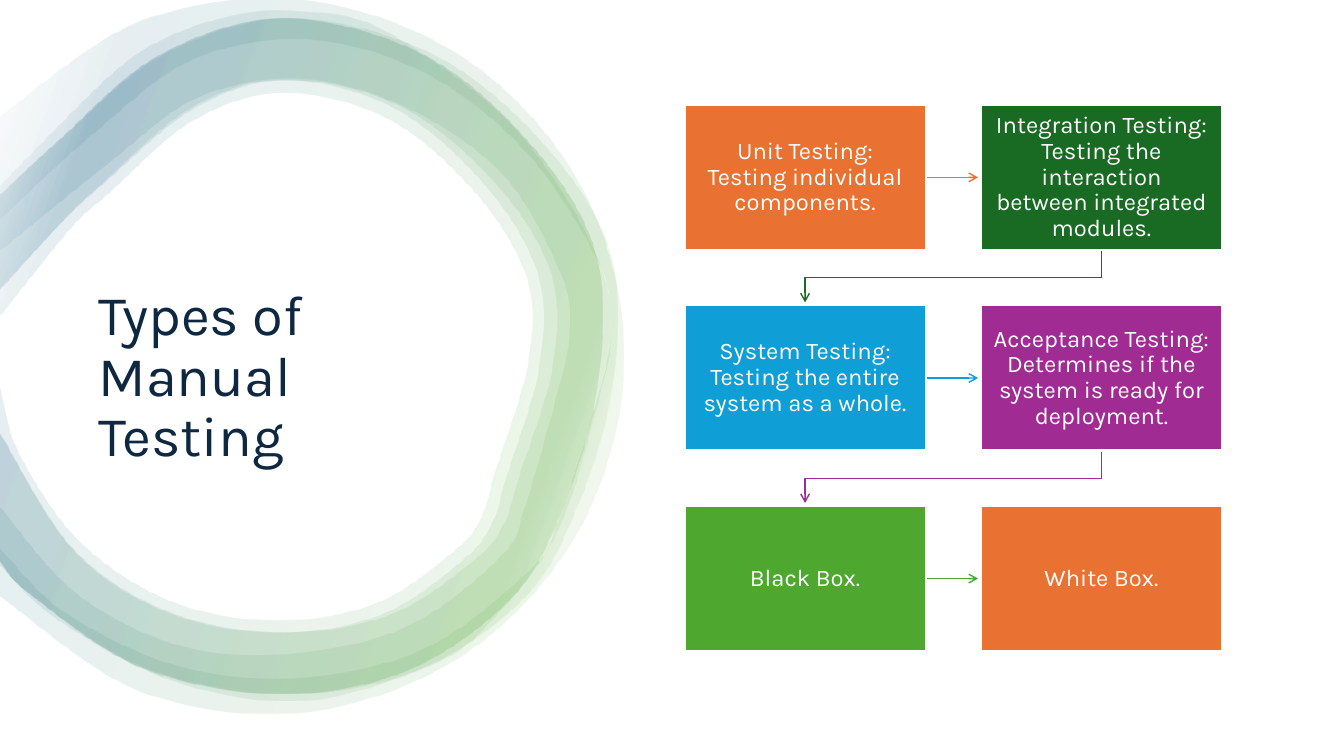
from math import acos, cos, sin

from lxml.etree import SubElement
from pptx import Presentation
from pptx.dml.color import RGBColor
from pptx.enum.shapes import MSO_CONNECTOR, MSO_SHAPE
from pptx.enum.text import MSO_ANCHOR, PP_ALIGN
from pptx.oxml import parse_xml
from pptx.oxml.ns import nsdecls, qn
from pptx.util import Inches, Pt

FONT = "Karla"
WHITE = RGBColor(0xFF, 0xFF, 0xFF)
NAVY = RGBColor(0x0E, 0x28, 0x41)
ORANGE = RGBColor(0xE9, 0x71, 0x32)
FOREST = RGBColor(0x19, 0x6B, 0x24)
BLUE = RGBColor(0x0F, 0x9E, 0xD5)
PURPLE = RGBColor(0xA0, 0x2B, 0x93)
GREEN = RGBColor(0x4E, 0xA7, 0x2E)
TEAL = RGBColor(0x15, 0x60, 0x82)

RING_STOPS = [(2, WHITE), (16, GREEN), (85, TEAL), (100, WHITE)]
RING_ANGLE = 200
RING_OPACITY = 10

BOX_LEFT, BOX_TOP = 6.79, 1.04
BOX_WIDTH, BOX_HEIGHT = 2.39, 1.44
COLUMN_STEP, ROW_STEP = 2.94, 1.99
COLUMNS = 2
ARROW_GAP = 0.03

TESTS = [
    ("Unit Testing: Testing individual components.", ORANGE),
    ("Integration Testing: Testing the interaction between integrated modules.", FOREST),
    ("System Testing: Testing the entire system as a whole.", BLUE),
    ("Acceptance Testing: Determines if the system is ready for deployment.", PURPLE),
    ("Black Box.", GREEN),
    ("White Box.", ORANGE),
]

# Ring edges: outer ones run clockwise from the left side, inner ones back.
SOFT_OUTER = [
    (0, 1.84), (1.09, 0.75), (1.66, 0.37), (2.34, 0.15), (2.96, 0.12), (3.73, 0.27),
    (4.84, 1.03), (5.47, 1.76), (5.94, 2.62), (6.05, 3.29), (5.93, 3.96), (5.52, 5.27),
    (4.88, 6.14), (4.28, 6.59), (3, 6.95), (1.7, 6.75), (0.56, 6.14), (0, 5.61),
]
SOFT_INNER = [
    (0, 5.03), (0.76, 5.89), (1.81, 6.41), (2.97, 6.47), (4.07, 6.19), (4.97, 5.5),
    (5.2, 5.01), (5.54, 3.81), (5.64, 3.29), (5.56, 2.74), (4.99, 1.75), (4.04, 1.08),
    (2.99, 0.79), (1.96, 0.97), (1.05, 1.64), (0, 2.49),
]
WIDE_OUTER = [
    (0, 1.93), (0.59, 1.39), (1.6, 0.55), (2.86, 0.18), (4.28, 0.53), (5.38, 1.42),
    (6.05, 2.52), (6.06, 3.86), (5.67, 5.14), (5.15, 5.97), (4.1, 6.66), (2.79, 6.88),
    (1.41, 6.61), (0.29, 5.88), (0, 5.56),
]
WIDE_INNER = [
    (0, 4.29), (0.73, 5.44), (1.67, 6.06), (2.79, 6.27), (3.87, 6.09), (4.71, 5.54),
    (5, 5.17), (5.14, 4.72), (5.47, 3.65), (5.46, 2.72), (4.91, 1.82), (3.98, 1.06),
    (2.86, 0.79), (1.93, 1.07), (1.03, 1.82), (0.64, 2.18), (0, 2.87),
]
THICK_INNER = [
    (0, 3.83), (0.18, 4.48), (0.78, 5.36), (1.67, 5.95), (2.71, 6.15), (3.72, 5.98),
    (4.51, 5.45), (4.77, 5.12), (4.9, 4.69), (5.23, 3.6), (5.22, 2.76), (4.7, 1.9),
    (3.83, 1.17), (2.79, 0.92), (1.9, 1.2), (1.08, 1.91), (0.69, 2.27), (0, 3.13),
]
HALO_INNER = [
    (0, 5.44), (0.65, 6.08), (1.79, 6.61), (3.04, 6.71), (4.24, 6.41), (5.24, 5.65),
    (5.52, 5.18), (5.94, 3.85), (6.05, 3.22), (5.92, 2.59), (5.22, 1.52), (4.24, 0.74),
    (3.07, 0.39), (1.9, 0.59), (0.9, 1.34), (0, 2.17),
]


def narrowed(points):
    return [(x * 0.976, y) for x, y in points]


def halo_outer(center_x=2.63, center_y=3.53, radius=3.55, steps=10):
    """Return the arc of the circle that lies right of the slide's left side."""
    limit = acos(-center_x / radius)
    angles = [limit * (2 * step / steps - 1) for step in range(steps + 1)]
    return [(center_x + radius * cos(a), center_y + radius * sin(a)) for a in angles]


def curve_controls(points):
    """Return the two Bezier control points of each stretch between points."""
    padded = [points[0], *points, points[-1]]
    return [((bx + (cx - ax) / 6, by + (cy - ay) / 6),
             (cx - (dx - bx) / 6, cy - (dy - by) / 6))
            for (ax, ay), (bx, by), (cx, cy), (dx, dy)
            in zip(padded, padded[1:], padded[2:], padded[3:])]


def set_format(target, values):
    for name, value in values.items():
        setattr(target, name, value)


def add_outline(slide, points, close):
    start, *rest = [(Inches(x), Inches(y)) for x, y in points]
    builder = slide.shapes.build_freeform(*start)
    builder.add_line_segments(rest, close=close)
    shape = builder.convert_to_shape()
    shape.shadow.inherit = False
    return shape


def bend_segments(shape, controls):
    """Turn straight segments into Bezier curves; None leaves one straight."""
    segments = list(shape.element.iter(qn("a:lnTo")))
    for segment, pair in zip(segments, controls):
        if pair is None:
            continue
        segment.tag = qn("a:cubicBezTo")
        for index, (x, y) in enumerate(pair):
            point = parse_xml(f'<a:pt {nsdecls("a")} x="{Inches(x) - shape.left}" '
                              f'y="{Inches(y) - shape.top}"/>')
            segment.insert(index, point)


def add_ring_band(slide, outer, inner):
    shape = add_outline(slide, outer + inner, close=True)
    bend_segments(shape, [*curve_controls(outer), None, *curve_controls(inner)])
    shape.line.fill.background()
    stops = "".join(
        f'<a:gs pos="{position * 1000}"><a:srgbClr val="{color}">'
        f'<a:alpha val="{RING_OPACITY * 1000}"/></a:srgbClr></a:gs>'
        for position, color in RING_STOPS)
    gradient = parse_xml(
        f'<a:gradFill {nsdecls("a")} rotWithShape="1"><a:gsLst>{stops}</a:gsLst>'
        f'<a:lin ang="{RING_ANGLE * 60000}" scaled="0"/></a:gradFill>')
    shape.element.spPr.find(qn("a:custGeom")).addnext(gradient)


def add_title(slide, text):
    title = slide.shapes.title
    set_format(title, {"left": Inches(0.88), "top": Inches(2.21),
                       "width": Inches(4), "height": Inches(3.08)})
    write_text(title, text, PP_ALIGN.LEFT, 40, NAVY)


def write_text(shape, text, alignment, size, color):
    frame = shape.text_frame
    set_format(frame, {"text": text, "word_wrap": True, "vertical_anchor": MSO_ANCHOR.MIDDLE})
    paragraph = frame.paragraphs[0]
    set_format(paragraph, {"alignment": alignment, "line_spacing": 0.9})
    font = paragraph.runs[0].font
    set_format(font, {"name": FONT, "size": Pt(size)})
    font.color.rgb = color


def add_test_box(slide, left, top, text, color):
    shape = slide.shapes.add_shape(MSO_SHAPE.RECTANGLE, Inches(left), Inches(top),
                                   Inches(BOX_WIDTH), Inches(BOX_HEIGHT))
    shape.shadow.inherit = False
    shape.fill.solid()
    shape.fill.fore_color.rgb = color
    shape.line.color.rgb = WHITE
    shape.line.width = Pt(1.5)
    sides = ("left", "top", "right", "bottom")
    set_format(shape.text_frame, {f"margin_{side}": Inches(0.12) for side in sides})
    write_text(shape, text, PP_ALIGN.CENTER, 17, WHITE)


def style_arrow(shape, color):
    shape.line.color.rgb = color
    shape.line.width = Pt(1)
    SubElement(shape.element.spPr.find(qn("a:ln")), qn("a:tailEnd"), type="arrow")


def add_arrow_across(slide, left, top, color):
    start, y = left + BOX_WIDTH, Inches(top + BOX_HEIGHT / 2)
    arrow = slide.shapes.add_connector(MSO_CONNECTOR.STRAIGHT, Inches(start), y,
                                       Inches(left + COLUMN_STEP - ARROW_GAP), y)
    style_arrow(arrow, color)
    SubElement(arrow.element.spPr, qn("a:effectLst"))


def add_arrow_to_next_row(slide, left, top, color):
    start_x, end_x = left + BOX_WIDTH / 2, BOX_LEFT + BOX_WIDTH / 2
    start_y, end_y = top + BOX_HEIGHT, top + ROW_STEP - ARROW_GAP
    turn_y = (start_y + top + ROW_STEP) / 2
    arrow = add_outline(slide, [(start_x, start_y), (start_x, turn_y),
                                (end_x, turn_y), (end_x, end_y)], close=False)
    arrow.fill.background()
    style_arrow(arrow, color)


def main():
    presentation = Presentation()
    set_format(presentation, {"slide_width": Inches(13.33), "slide_height": Inches(7.5)})
    slide = presentation.slides.add_slide(presentation.slide_layouts[5])

    for outer, inner in [(SOFT_OUTER, SOFT_INNER), (WIDE_OUTER, WIDE_INNER),
                         (narrowed(WIDE_OUTER), THICK_INNER),
                         (narrowed(WIDE_OUTER), narrowed(WIDE_INNER)),
                         (halo_outer(), HALO_INNER)]:
        add_ring_band(slide, outer, inner)
    add_title(slide, "Types of Manual Testing")

    for index, (text, color) in enumerate(TESTS):
        row, column = divmod(index, COLUMNS)
        left, top = BOX_LEFT + column * COLUMN_STEP, BOX_TOP + row * ROW_STEP
        if index < len(TESTS) - 1:
            add_arrow = add_arrow_to_next_row if column else add_arrow_across
            add_arrow(slide, left, top, color)
        add_test_box(slide, left, top, text, color)

    presentation.save("out.pptx")


if __name__ == "__main__":
    main()
